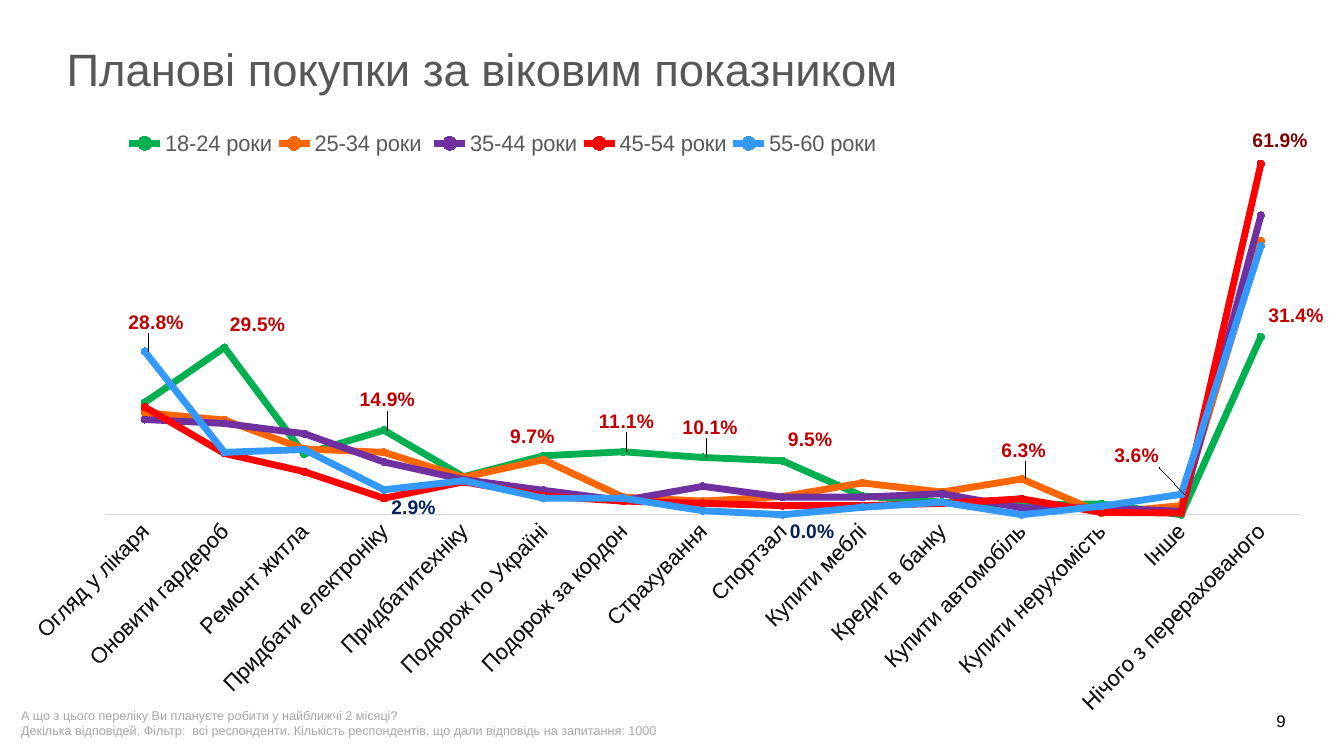
from dataclasses import dataclass, field

from lxml.etree import SubElement
from pptx import Presentation
from pptx.chart.chart import Chart
from pptx.chart.data import CategoryChartData as ChartData
from pptx.dml.color import RGBColor as RGB
from pptx.enum.chart import XL_CHART_TYPE as Kind
from pptx.enum.chart import XL_LABEL_POSITION as Side
from pptx.enum.chart import XL_LEGEND_POSITION as Edge
from pptx.enum.chart import XL_MARKER_STYLE as Mark
from pptx.enum.chart import XL_TICK_MARK as Tick
from pptx.enum.text import MSO_ANCHOR as Anchor
from pptx.enum.text import PP_ALIGN as Align
from pptx.oxml import parse_xml
from pptx.oxml.ns import nsdecls, qn
from pptx.util import Inches, Pt

WIDE, HIGH = Inches(13.33), Inches(7.5)
FONT = "Arial"
BLACK = RGB(0x00, 0x00, 0x00)
SLATE = RGB(0x59, 0x56, 0x59)
GREY = RGB(0x59, 0x59, 0x59)
PALE = RGB(0xA6, 0xA6, 0xA6)
RULE = RGB(0xD9, 0xD9, 0xD9)
INK = RGB(0x14, 0x15, 0x14)
GREEN = RGB(0x00, 0xB0, 0x50)
ORANGE = RGB(0xFF, 0x66, 0x00)
EMBER = RGB(0xFF, 0x4D, 0x00)
PURPLE = RGB(0x70, 0x30, 0xA0)
RED = RGB(0xFF, 0x00, 0x00)
BLUE = RGB(0x33, 0x99, 0xFF)
CRIMSON = RGB(0xC0, 0x00, 0x00)
MAROON = RGB(0x80, 0x00, 0x00)
NAVY = RGB(0x00, 0x20, 0x60)


@dataclass
class Box:
    """A frame in percent of the slide's width and height."""
    left: float
    top: float
    width: float
    height: float

    def frame(self) -> tuple[int, int, int, int]:
        return (int(WIDE * self.left / 100), int(HIGH * self.top / 100),
                int(WIDE * self.width / 100), int(HIGH * self.height / 100))


@dataclass
class Label:
    """A value label, moved by right and down inches from its usual place."""
    point: int
    right: float
    down: float
    color: RGB = CRIMSON


@dataclass
class Group:
    name: str
    color: RGB
    dot: RGB
    shares: list[float]
    labels: list[Label] = field(default_factory=list)


TITLE = Box(4.2, 5.47, 86.27, 8)
NUMBER = Box(73.89, 92.67, 22.51, 5.33)
NOTE = Box(0.83, 92.93, 74.94, 5.33)
GRAPH = Box(2.4, 15.6, 96.1, 84.4)

PLANS = ["Огляд у лікаря", "Оновити гардероб", "Ремонт житла",
         "Придбати електроніку", "Придбатитехніку", "Подорож по Україні",
         "Подорож за кордон", "Страхування", "Спортзал", "Купити меблі",
         "Кредит в банку", "Купити автомобіль", "Купити нерухомість", "Інше",
         "Нічого з перерахованого"]

GROUPS = [
    Group("18-24 роки", GREEN, GREEN,
          [0.198, 0.295, 0.107, 0.149, 0.067, 0.104, 0.111, 0.101, 0.095,
           0.033, 0.022, 0.017, 0.019, 0, 0.314],
          [Label(1, -0.02, -0.23), Label(3, -0.32, -0.3),
           Label(6, -0.32, -0.3), Label(7, -0.28, -0.3),
           Label(8, -0.02, -0.21), Label(14, 0, -0.21)]),
    Group("25-34 роки ", ORANGE, EMBER,
          [0.18, 0.167, 0.116, 0.11, 0.066, 0.097, 0.031, 0.024, 0.032,
           0.056, 0.04, 0.063, 0.003, 0.016, 0.483],
          [Label(5, -0.41, -0.23), Label(11, -0.28, -0.28)]),
    Group("35-44 роки", PURPLE, PURPLE,
          [0.168, 0.161, 0.143, 0.093, 0.062, 0.043, 0.025, 0.05, 0.031,
           0.031, 0.037, 0.012, 0.012, 0.006, 0.528]),
    Group("45-54 роки", RED, RED,
          [0.19, 0.108, 0.076, 0.029, 0.058, 0.033, 0.024, 0.02, 0.016,
           0.016, 0.02, 0.028, 0.004, 0.003, 0.619],
          [Label(3, 0, 0.09, NAVY), Label(14, -0.16, -0.23, MAROON)]),
    Group("55-60 роки", BLUE, BLUE,
          [0.288, 0.11, 0.115, 0.044, 0.06, 0.029, 0.029, 0.007, 0, 0.013,
           0.022, 0, 0.015, 0.036, 0.474],
          [Label(0, -0.24, -0.29), Label(8, 0, 0.17, NAVY),
           Label(13, -0.75, -0.38)]),
]

LEADERS = (
    f'<c:extLst {nsdecls("c")}>'
    '<c:ext uri="{CE6537A1-D6FC-4f65-9D91-7224C49458BB}" '
    'xmlns:c15="http://schemas.microsoft.com/office/drawing/2012/chart">'
    '<c15:showLeaderLines val="1"/></c:ext></c:extLst>')


def style(font, size: float, color: RGB, bold: bool = False) -> None:
    font.name, font.size, font.bold = FONT, Pt(size), bold
    font.color.rgb = color


def write(shape, lines: list[str], size: float, color: RGB,
          align: Align = Align.LEFT, anchor: Anchor = Anchor.TOP,
          space: float = 1) -> None:
    frame = shape.text_frame
    frame.word_wrap = True
    frame.vertical_anchor = anchor
    frame.text = "\n".join(lines)
    for para in frame.paragraphs:
        para.alignment, para.line_spacing = align, space
        for run in para.runs:
            style(run.font, size, color)


def layout(**parts):
    """Build a manual chart layout from its named parts."""
    node = parse_xml(f'<c:layout {nsdecls("c")}/>')
    manual = SubElement(node, qn("c:manualLayout"))
    for name, value in parts.items():
        SubElement(manual, qn(f"c:{name}")).set("val", str(value))
    return node


def tag(series, labels: list[Label]) -> None:
    if not labels:
        return
    series.data_labels.show_value = False
    _, _, width, height = GRAPH.frame()
    for label in labels:
        mark = series.points[label.point].data_label
        style(mark.font, 14, label.color, True)
        mark.position = Side.RIGHT
        idx = series._element.xpath(
            f"c:dLbls/c:dLbl/c:idx[@val='{label.point}']")[0]
        idx.addnext(layout(x=Inches(label.right) / width,
                           y=Inches(label.down) / height))
    series.data_labels._element.append(parse_xml(LEADERS))


def paint(series, group: Group) -> None:
    series.smooth = False
    series.format.line.color.rgb = group.color
    series.format.line.width = Pt(5)
    mark = series.marker
    mark.style, mark.size = Mark.CIRCLE, 5
    mark.format.fill.solid()
    mark.format.fill.fore_color.rgb = group.dot
    mark.format.line.color.rgb = group.dot
    tag(series, group.labels)


def scale(chart: Chart) -> None:
    value = chart.value_axis
    value.minimum_scale, value.maximum_scale = 0, 0.7
    value.has_major_gridlines = False
    value.visible = False
    plans = chart.category_axis
    plans.major_tick_mark = plans.minor_tick_mark = Tick.NONE
    plans.format.line.color.rgb = RULE
    plans.format.line.width = Pt(0.75)
    style(plans.tick_labels.font, 16, INK)
    plans._element.xpath("c:txPr/a:bodyPr")[0].set("rot", "-2700000")


def graph(slide) -> None:
    data = ChartData(number_format="###0.0%")
    data.categories = PLANS
    for group in GROUPS:
        data.add_series(group.name, group.shares)
    chart = slide.shapes.add_chart(Kind.LINE_MARKERS, *GRAPH.frame(), data).chart
    style(chart.font, 10, BLACK)
    chart.has_title = False
    chart.plots[0].vary_by_categories = False
    scale(chart)
    for series, group in zip(chart.plots[0].series, GROUPS):
        paint(series, group)
    chart.has_legend = True
    key = chart.legend
    key.position, key.include_in_layout = Edge.TOP, False
    style(key.font, 16, GREY)
    for old in key._element.findall(qn("c:layout")):
        key._element.remove(old)
    key._element.find(qn("c:legendPos")).addnext(
        layout(xMode="edge", yMode="edge", x=0.07, y=0.01, w=0.6, h=0.06))
    area = chart._chartSpace.chart.plotArea
    for old in area.findall(qn("c:layout")):
        area.remove(old)
    area.insert(0, layout(layoutTarget="inner", xMode="edge", yMode="edge",
                          x=0.056, y=0, w=0.944, h=0.622))


def main() -> None:
    deck = Presentation()
    deck.slide_width, deck.slide_height = WIDE, HIGH
    slide = deck.slides.add_slide(deck.slide_layouts[5])
    title = slide.shapes.title
    title.left, title.top, title.width, title.height = TITLE.frame()
    write(title, ["Планові покупки за віковим показником"], 32.4, SLATE,
          anchor=Anchor.MIDDLE, space=0.9)
    page = slide.shapes.add_textbox(*NUMBER.frame())
    write(page, ["9"], 12, BLACK, Align.RIGHT, Anchor.MIDDLE)
    graph(slide)
    note = slide.shapes.add_textbox(*NOTE.frame())
    write(note, ["А що з цього переліку Ви плануєте робити у найближчі 2 місяці?",
                 "Декілька відповідей. Фільтр:  всі респонденти. "
                 "Кількість респондентів, що дали відповідь на запитання: 1000"],
          9, PALE)
    deck.save("out.pptx")


if __name__ == "__main__":
    main()
